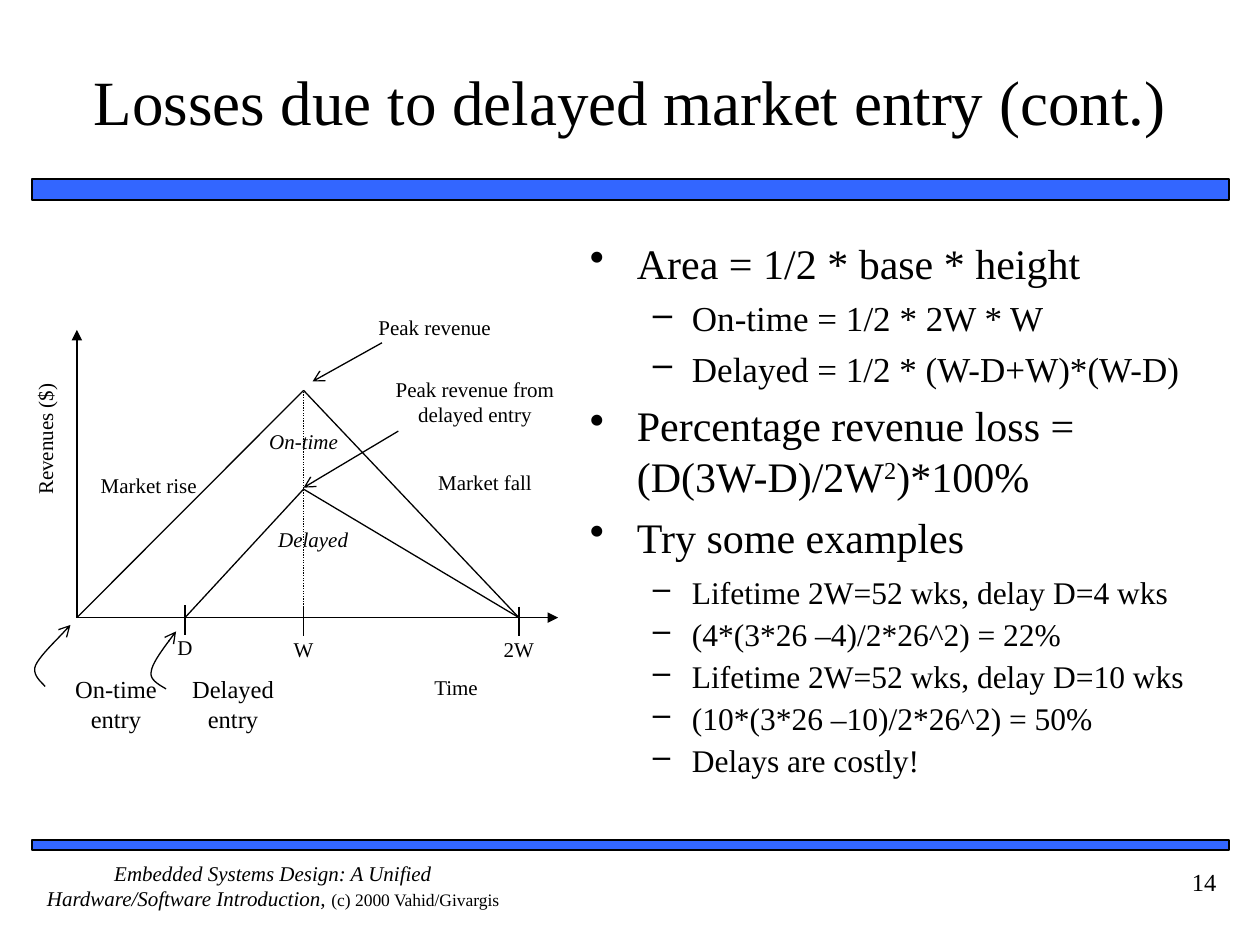
from lxml.etree import SubElement
from pptx import Presentation
from pptx.dml.color import RGBColor
from pptx.enum.dml import MSO_LINE
from pptx.enum.shapes import MSO_CONNECTOR, MSO_SHAPE
from pptx.enum.text import MSO_ANCHOR, PP_ALIGN
from pptx.oxml.ns import qn
from pptx.util import Cm, Pt

COLORS = {"ink": "000000", "bar": "3366FF"}
FONT = "Times New Roman"
ALIGN = {"l": PP_ALIGN.LEFT, "c": PP_ALIGN.CENTER, "r": PP_ALIGN.RIGHT}

TITLE = "Losses due to delayed market entry (cont.)"
FOOTER = [("Embedded Systems Design: A Unified Hardware/Software Introduction, ", {"italic": True}),
          ("(c) 2000 Vahid/Givargis", {"size": 10})]
BARS = [(3.61, 0.43), (16.94, 0.2)]  # top, height

TOP = {"bullet": "•", "margin": 0.95, "hang": 0.95, "size": 24, "before": 6}
SUB = {"bullet": "–", "margin": 2.06, "hang": 0.79, "size": 20, "before": 5}
EXAMPLE = {**SUB, "size": 18, "before": 4.5}
FORMULAS = [
    ("Area = 1/2 * base * height", TOP),
    ("On-time = 1/2 * 2W * W", SUB),
    ("Delayed = 1/2 * (W-D+W)*(W-D)", SUB),
    ([("Percentage revenue loss = (D(3W-D)/2W", {}), ("2", {"raised": True}), (")*100%", {})], TOP),
    ("Try some examples", TOP),
]
EXAMPLES = [("Lifetime 2W=52 wks, delay D=4 wks", EXAMPLE)] + [
    (text, {**EXAMPLE, "spacing": 0.9}) for text in (
        "(4*(3*26 –4)/2*26^2) = 22%",
        "Lifetime 2W=52 wks, delay D=10 wks",
        "(10*(3*26 –10)/2*26^2) = 50%",
        "Delays are costly!")]

BASE = 12.45
ORIGIN, D, W, END = (1.55, BASE), (3.73, BASE), (6.12, BASE), (10.46, BASE)
PEAK, LATE_PEAK = (W[0], 7.87), (W[0], 9.86)
LINES = [  # from, to, arrowhead, dash
    (ORIGIN, (11.25, BASE), "triangle", None),
    (ORIGIN, (ORIGIN[0], 6.65), "triangle", None),
    (W, PEAK, None, MSO_LINE.ROUND_DOT),
    (ORIGIN, PEAK, None, None),
    (PEAK, END, None, None),
    (D, LATE_PEAK, None, None),
    (LATE_PEAK, END, None, None),
    ((7.7, 6.91), (6.3, 7.69), "arrow", None),
    ((8.03, 8.69), (6.12, 9.83), "arrow", None),
]
TICKS = [("D", D, 12.8), ("W", W, 12.83), ("2W", END, 12.83)]  # label, axis point, label top
LABELS = [  # text, left, top, width, height, format
    ("Peak revenue", 6.68, 6.35, 4.17, 0.71, {}),
    ("Peak revenue from delayed entry", 7.49, 7.59, 4.17, 1.37, {}),
    ("Market rise", 1.85, 9.53, 2.3, 1.4, {}),
    ("Market fall", 8.63, 9.47, 2.3, 1.4, {}),
    ("Time", 7.11, 13.6, 4.17, 0.79, {}),
    ("On-time", 5.13, 8.64, 1.98, 0.79, {"italic": True}),
    ("Delayed", 4.93, 10.62, 2.77, 0.79, {"italic": True}),
    ("On-time entry", 1.34, 13.59, 2, 1.27, {"size": 14}),
    ("Delayed entry", 3.7, 13.59, 2, 1.27, {"size": 14}),
]
AXIS_LABEL = ("Revenues ($)", -1.04, 8.46, 4.17, 0.79)
CURVES = [  # start, then two control points and an end per segment
    [(0.91, 13.84), (0.86, 13.77), (0.63, 13.61), (0.72, 13.41), (0.81, 13.2), (1.27, 12.78), (1.42, 12.6)],
    [(3.35, 13.89), (3.28, 13.84), (3, 13.72), (3.05, 13.54), (3.07, 13.33), (3.43, 12.9), (3.55, 12.73)],
]


def rgb(name):
    return RGBColor.from_string(COLORS[name])


def write(p, text, size=12, italic=False, align="l", before=0, spacing=None, bullet=None, margin=0, hang=0):
    p.alignment = ALIGN[align]
    p.space_before = Pt(before)
    if spacing:
        p.line_spacing = spacing
    if bullet:
        pPr = p._p.get_or_add_pPr()
        pPr.set("marL", str(Cm(margin)))
        pPr.set("indent", str(-Cm(hang)))
        SubElement(pPr, qn("a:buChar")).set("char", bullet)
    for words, fmt in [(text, {})] if isinstance(text, str) else text:
        r = p.add_run()
        r.text = words
        r.font.name = FONT
        r.font.size = Pt(fmt.get("size", size))
        r.font.italic = fmt.get("italic", italic)
        r.font.color.rgb = rgb("ink")
        if fmt.get("raised"):
            r._r.get_or_add_rPr().set("baseline", "30000")


def add_box(s, paras, left, top, width, height, inset=(0, 0)):
    sp = s.shapes.add_textbox(Cm(left), Cm(top), Cm(width), Cm(height))
    fill_frame(sp.text_frame, paras, inset)
    return sp


def fill_frame(tf, paras, inset):
    tf.word_wrap = True
    tf.margin_left = tf.margin_right = Cm(inset[0])
    tf.margin_top = tf.margin_bottom = Cm(inset[1])
    for i, (text, fmt) in enumerate(paras):
        write(tf.add_paragraph() if i else tf.paragraphs[0], text, **fmt)


def style_line(sp, head=None, dash=None):
    sp.line.color.rgb = rgb("ink")
    sp.line.width = Pt(0.75)
    if dash:
        sp.line.dash_style = dash
    if head:
        SubElement(sp.line._get_or_add_ln(), qn("a:tailEnd")).set("type", head)


def add_line(s, start, end, head=None, dash=None):
    sp = s.shapes.add_connector(MSO_CONNECTOR.STRAIGHT, *map(Cm, start + end))
    style_line(sp, head, dash)
    SubElement(sp._element.spPr, qn("a:effectLst"))
    return sp


def add_curve(s, pts, steps=12):
    path = []
    for k in range(0, len(pts) - 1, 3):
        for t in (n / steps for n in range(1, steps + 1)):
            weights = ((1 - t) ** 3, 3 * t * (1 - t) ** 2, 3 * t * t * (1 - t), t ** 3)
            path.append(tuple(Cm(sum(w * pt[axis] for w, pt in zip(weights, pts[k:k + 4])))
                              for axis in (0, 1)))
    builder = s.shapes.build_freeform(*map(Cm, pts[0]))
    builder.add_line_segments(path, close=False)
    sp = builder.convert_to_shape()
    sp.shadow.inherit = False
    sp.fill.background()
    style_line(sp, "arrow")


def main():
    """Build the slide on delayed market entry and save it."""
    prs = Presentation()
    prs.slide_width, prs.slide_height = Cm(25.4), Cm(19.05)
    s = prs.slides.add_slide(prs.slide_layouts[5])

    title = s.shapes.title
    title.left, title.top, title.width, title.height = map(Cm, (1.06, 0.43, 23.28, 3.18))
    title.text_frame.vertical_anchor = MSO_ANCHOR.MIDDLE
    fill_frame(title.text_frame, [(TITLE, {"size": 36, "align": "c"})], (0, 0.13))

    for top, height in BARS:
        sp = s.shapes.add_shape(MSO_SHAPE.RECTANGLE, Cm(0.64), Cm(top), Cm(24.13), Cm(height))
        sp.shadow.inherit = False
        sp.fill.solid()
        sp.fill.fore_color.rgb = rgb("bar")
        sp.line.color.rgb = rgb("ink")
        sp.line.width = Pt(1)

    for line in LINES:
        add_line(s, *line)
    for text, (x, y), top in TICKS:
        label = add_box(s, [(text, {"align": "c"})], x - 0.4, top, 0.8, 0.7)
        add_line(s, (x, top - 0.6), (x, top)).end_connect(label, 0)
    for text, *place, fmt in LABELS:
        add_box(s, [(text, {"align": "c", **fmt})], *place)
    text, *place = AXIS_LABEL
    add_box(s, [(text, {"align": "c"})], *place).rotation = 270
    for pts in CURVES:
        add_curve(s, pts)

    add_box(s, FORMULAS, 11.64, 4.66, 12.7, 7.83, (0.25, 0.13))
    add_box(s, EXAMPLES, 11.64, 11.43, 12.7, 5.29, (0.25, 0.13))
    add_box(s, [(FOOTER, {"align": "c"})], 0.64, 17.35, 9.73, 1.27)
    add_box(s, [("14", {"size": 14, "align": "r", "before": 8.8})], 22.23, 17.35, 2.54, 1.27, (0.25, 0.13))
    prs.save("out.pptx")


if __name__ == "__main__":
    main()
